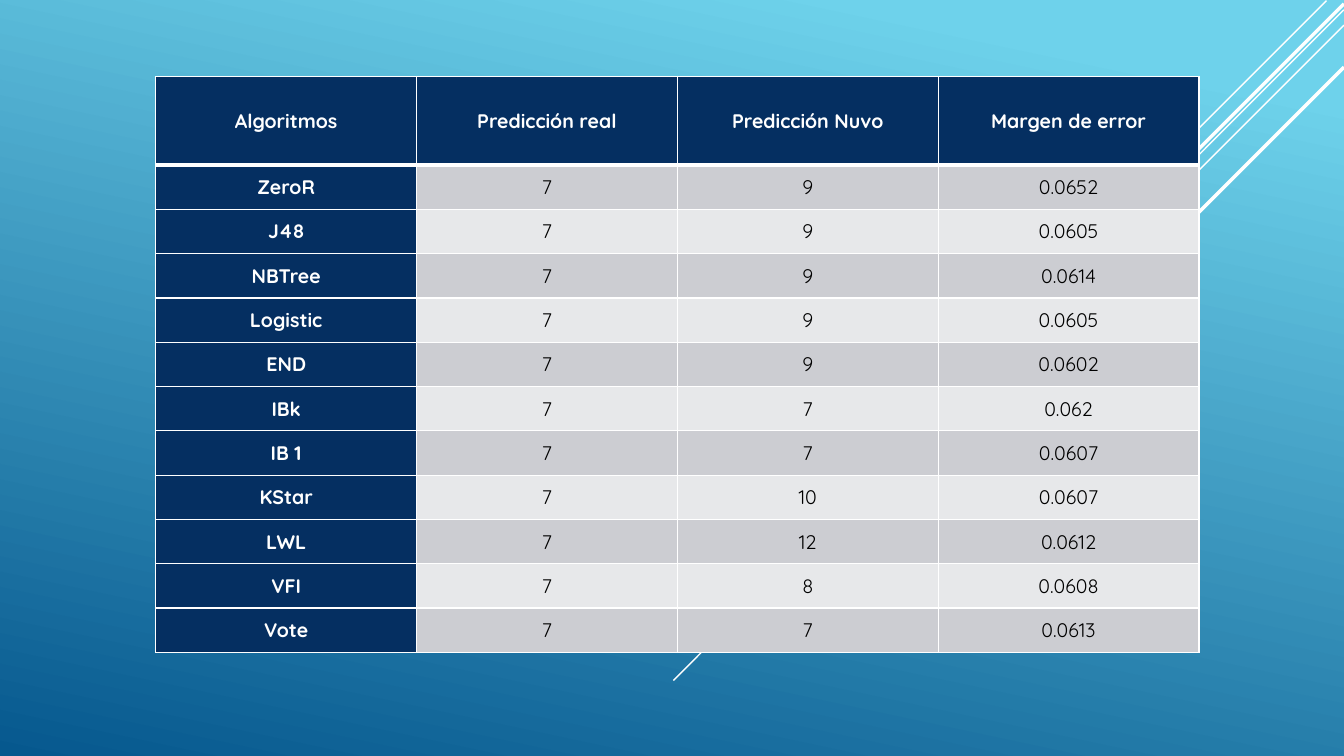
import pptx
import pptx.dml.color
import pptx.enum.shapes
import pptx.enum.text
import pptx.oxml.ns
import pptx.util
import lxml.etree

Pt = pptx.util.Pt
COLOURS = {
    "sky": "6ED2EB",
    "ocean": "06588E",
    "navy": "052F61",
    "white": "FFFFFF",
    "black": "000000",
    "dark_band": "CCCDD2",
    "light_band": "E7E8EA",
}
HEADINGS = ("Algoritmos", "Predicción real", "Predicción Nuvo", "Margen de error")
RESULTS = (
    ("ZeroR", "7", "9", "0.0652"),
    ("J48", "7", "9", "0.0605"),
    ("NBTree", "7", "9", "0.0614"),
    ("Logistic", "7", "9", "0.0605"),
    ("END", "7", "9", "0.0602"),
    ("IBk", "7", "7", "0.062"),
    ("IB 1", "7", "7", "0.0607"),
    ("KStar", "7", "10", "0.0607"),
    ("LWL", "7", "12", "0.0612"),
    ("VFI", "7", "8", "0.0608"),
    ("Vote", "7", "7", "0.0613"),
)
RAYS = (
    (12.5, 0.5, 300, 1),
    (0, 7, 479, 1),
    (0, 18, 390, 1),
    (0, 2.7, 382, 2.5),
    (0, 48, 342, 2.5),
)


def rgb(name):
    return pptx.dml.color.RGBColor.from_string(COLOURS[name])


def paint_background(page):
    fill = page.background.fill
    fill.gradient()
    fill.gradient_angle = 258
    for stop, position, name in zip(fill.gradient_stops, (0.1, 1), ("sky", "ocean")):
        stop.position = position
        stop.color.rgb = rgb(name)


def draw_rays(page, right, top):
    for inset, drop, reach, weight in RAYS:
        x, y = right - inset, top + drop
        ray = page.shapes.add_connector(
            pptx.enum.shapes.MSO_CONNECTOR.STRAIGHT,
            Pt(x), Pt(y), Pt(x - reach), Pt(y + reach),
        )
        ray.line.color.rgb = rgb("white")
        ray.line.width = Pt(weight)
        lxml.etree.SubElement(ray._element.spPr, pptx.oxml.ns.qn("a:effectLst"))


def set_borders(cell, top, bottom):
    properties = cell._tc.get_or_add_tcPr()
    for side, weight in (("L", 1), ("R", 1), ("T", top), ("B", bottom)):
        border = lxml.etree.SubElement(
            properties, pptx.oxml.ns.qn(f"a:ln{side}"), w=str(Pt(weight))
        )
        fill = lxml.etree.SubElement(border, pptx.oxml.ns.qn("a:solidFill"))
        lxml.etree.SubElement(fill, pptx.oxml.ns.qn("a:srgbClr"), val=COLOURS["white"])


def fill_cell(cell, text, row, column):
    is_heading = row == 0 or column == 0
    set_borders(cell, 3 if row == 1 else 1, 3 if row == 0 else 1)
    band = "dark_band" if row % 2 else "light_band"
    cell.fill.solid()
    cell.fill.fore_color.rgb = rgb("navy" if is_heading else band)
    cell.margin_left = cell.margin_right = Pt(5)
    cell.margin_top = cell.margin_bottom = 0
    cell.vertical_anchor = pptx.enum.text.MSO_ANCHOR.MIDDLE
    cell.text = text
    para = cell.text_frame.paragraphs[0]
    para.alignment = pptx.enum.text.PP_ALIGN.CENTER
    para.font.name = "Quicksand"
    para.font.size = Pt(14)
    para.font.bold = is_heading
    para.font.color.rgb = rgb("white" if is_heading else "black")


def add_results_table(page, left, top, width, height):
    rows = (HEADINGS, *RESULTS)
    table = page.shapes.add_table(
        len(rows), len(HEADINGS), Pt(left), Pt(top), Pt(width), Pt(height)
    ).table
    for column in table.columns:
        column.width = Pt(width / len(HEADINGS))
    unit = height / (len(rows) + 1)
    for index, values in enumerate(rows):
        table.rows[index].height = Pt(unit if index else 2 * unit)
        for column, text in enumerate(values):
            fill_cell(table.cell(index, column), text, index, column)


def main():
    deck = pptx.Presentation()
    deck.slide_width, deck.slide_height = Pt(960), Pt(540)
    page = deck.slides.add_slide(deck.slide_layouts[6])
    paint_background(page)
    draw_rays(page, 960, 0)
    add_results_table(page, 111.3, 54.7, 745.2, 411.3)
    deck.save("out.pptx")


if __name__ == "__main__":
    main()
